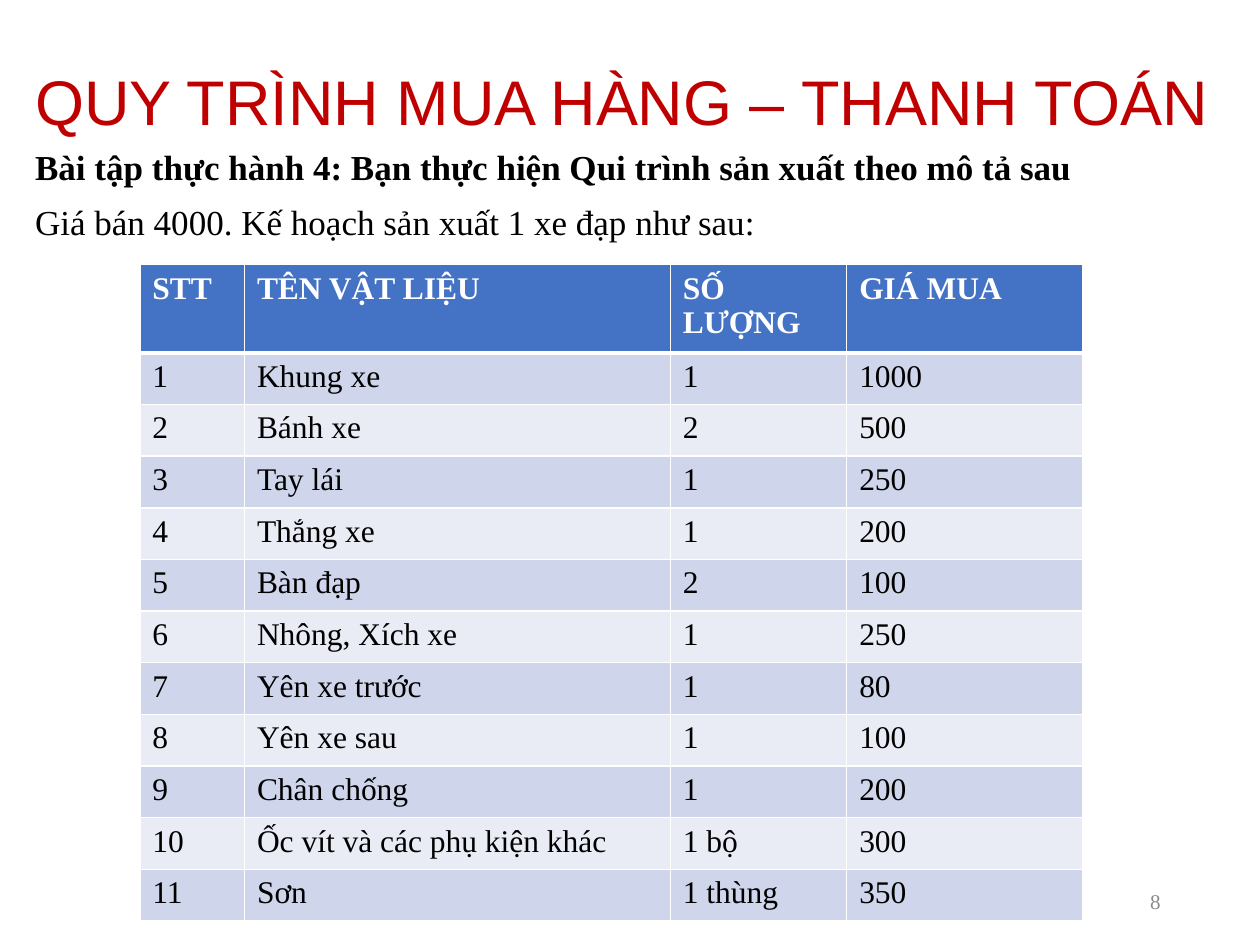
from pptx import Presentation
from pptx.dml.color import RGBColor as RGB
from pptx.enum.text import MSO_ANCHOR as Anchor, PP_ALIGN as Align
from pptx.oxml.ns import qn
from pptx.util import Inches, Pt
from lxml.etree import SubElement as Sub

# Content
TITLE = "QUY TRÌNH MUA HÀNG – THANH TOÁN"
TASK = "Bài tập thực hành 4: Bạn thực hiện Qui trình sản xuất theo mô tả sau"
PLAN = "Giá bán 4000. Kế hoạch sản xuất 1 xe đạp như sau:"
PAGE = "8"
HEAD = ("STT", "TÊN VẬT LIỆU", "SỐ LƯỢNG", "GIÁ MUA")
PARTS = [
    ("Khung xe", "1", "1000"),
    ("Bánh xe", "2", "500"),
    ("Tay lái", "1", "250"),
    ("Thắng xe", "1", "200"),
    ("Bàn đạp", "2", "100"),
    ("Nhông, Xích xe", "1", "250"),
    ("Yên xe trước", "1", "80"),
    ("Yên xe sau", "1", "100"),
    ("Chân chống", "1", "200"),
    ("Ốc vít và các phụ kiện khác", "1 bộ", "300"),
    ("Sơn", "1 thùng", "350"),
]

# Look
COLORS = {"title": "C00000", "text": "000000", "page": "8C8C8C", "white": "FFFFFF",
          "head": "4472C4", "odd": "CFD5EA", "even": "E9EBF5"}
SERIF = "Times New Roman"
WIDTHS = (0.83, 3.38, 1.4, 1.87)
HEAD_H, ROW_H = 0.59, 0.41


def color(name):
    return RGB.from_string(COLORS[name])


def add_run(para, text, size, hue, bold=False, face=SERIF):
    run = para.add_run()
    run.text = text
    font = run.font
    font.name, font.size, font.bold = face, Pt(size), bold
    font.color.rgb = color(hue)


def add_box(slide, left, top, width, height, anchor=Anchor.MIDDLE):
    frame = slide.shapes.add_textbox(*map(Inches, (left, top, width, height))).text_frame
    frame.word_wrap = True
    frame.vertical_anchor = anchor
    return frame


def set_edges(cell, base):
    props = cell._tc.get_or_add_tcPr()
    edges = (("a:lnL", 1), ("a:lnR", 1), ("a:lnT", 1), ("a:lnB", base))
    for spot, (tag, width) in enumerate(edges):
        line = Sub(props, qn(tag), w=str(Pt(width)))
        fill = Sub(line, qn("a:solidFill"))
        Sub(fill, qn("a:srgbClr"), val=COLORS["white"])
        props.insert(spot, line)  # lines come before the cell fill


prs = Presentation()
prs.slide_width, prs.slide_height = Inches(10), Inches(7.5)
slide = prs.slides.add_slide(prs.slide_layouts[6])

# Title
para = add_box(slide, 0.18, 0.11, 9.65, 1.45).paragraphs[0]
para.line_spacing = 0.9
add_run(para, TITLE, 36, "title", face="Arial")

# Task text
frame = add_box(slide, 0.18, 1.14, 9.65, 4.76, Anchor.TOP)
for para, text, bold in ((frame.paragraphs[0], TASK, True),
                         (frame.add_paragraph(), PLAN, False)):
    para.line_spacing = 0.9
    para.space_before = Pt(10)
    add_run(para, text, 20, "text", bold)

# Page number
para = add_box(slide, 7.06, 6.95, 2.25, 0.4).paragraphs[0]
para.alignment = Align.RIGHT
add_run(para, PAGE, 12, "page")

# Parts table
rows = [HEAD] + [(str(num), *part) for num, part in enumerate(PARTS, 1)]
high = HEAD_H + ROW_H * len(PARTS)
table = slide.shapes.add_table(len(rows), len(HEAD), Inches(1.11), Inches(2.1),
                               Inches(sum(WIDTHS)), Inches(high)).table
for col, width in zip(table.columns, WIDTHS):
    col.width = Inches(width)
for r, row in enumerate(rows):
    top = r == 0
    table.rows[r].height = Inches(HEAD_H if top else ROW_H)
    for c, text in enumerate(row):
        cell = table.cell(r, c)
        cell.fill.solid()
        cell.fill.fore_color.rgb = color("head" if top else "odd" if r % 2 else "even")
        set_edges(cell, 3 if top else 1)
        add_run(cell.text_frame.paragraphs[0], text, 18, "white" if top else "text", top)

prs.save("out.pptx")
